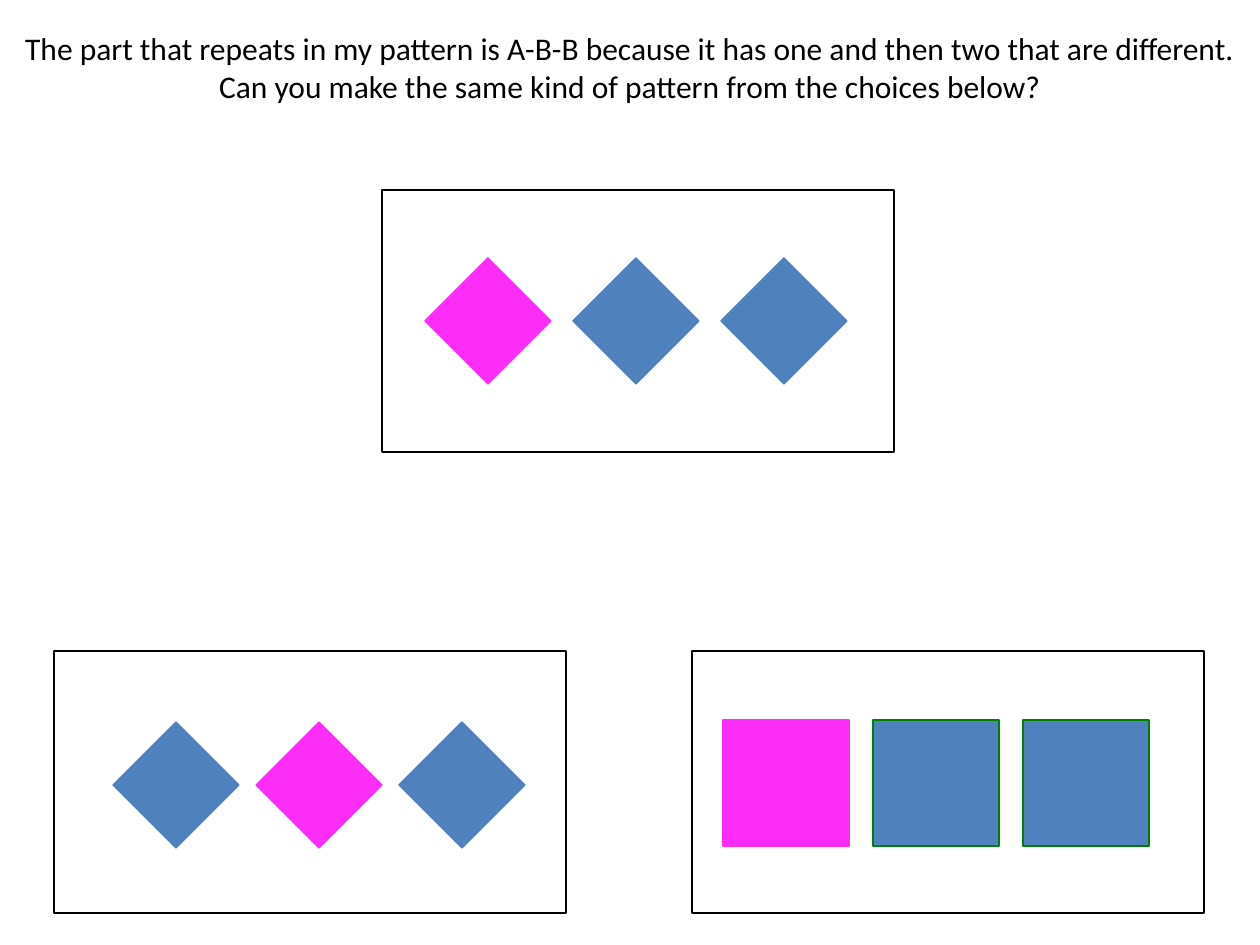
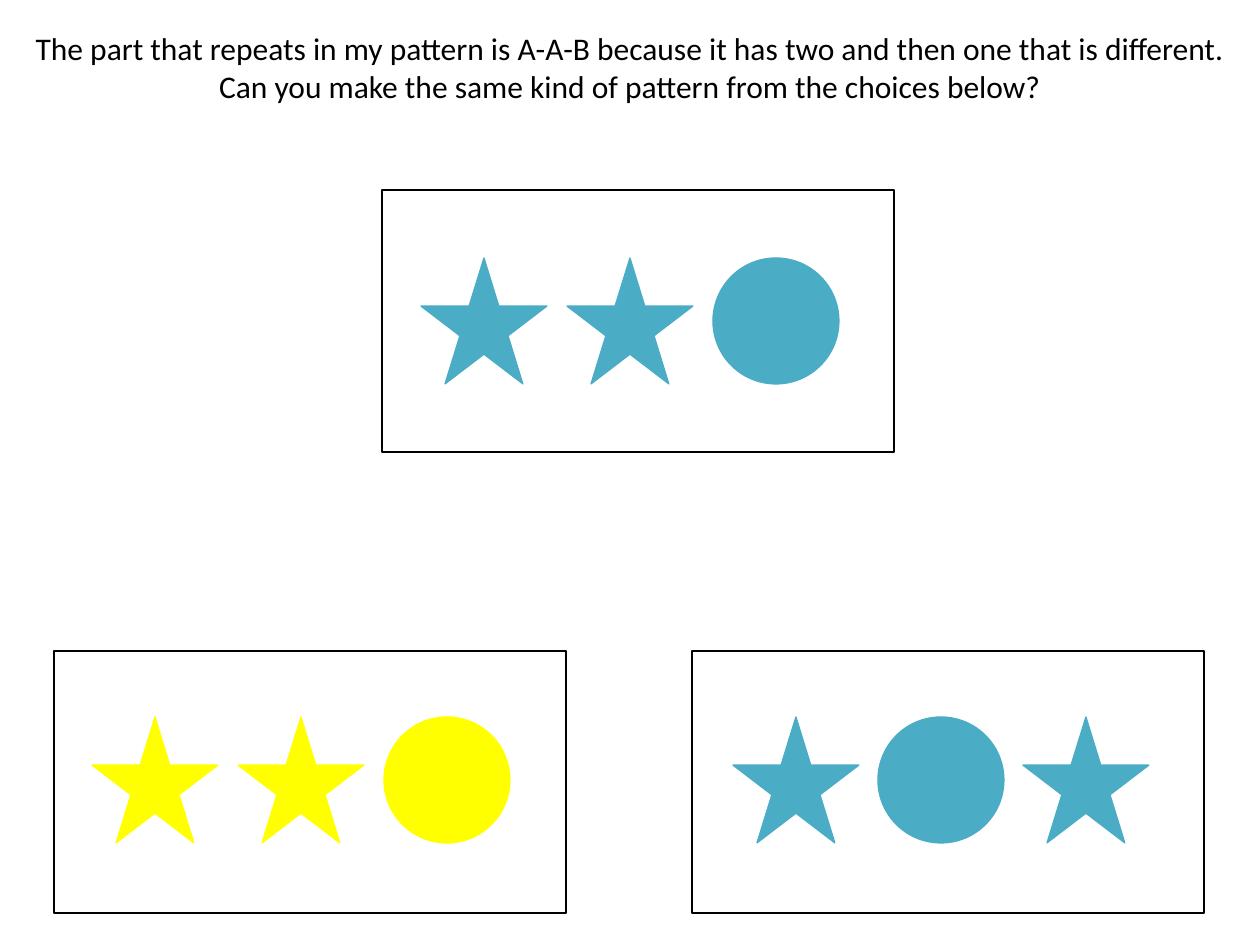
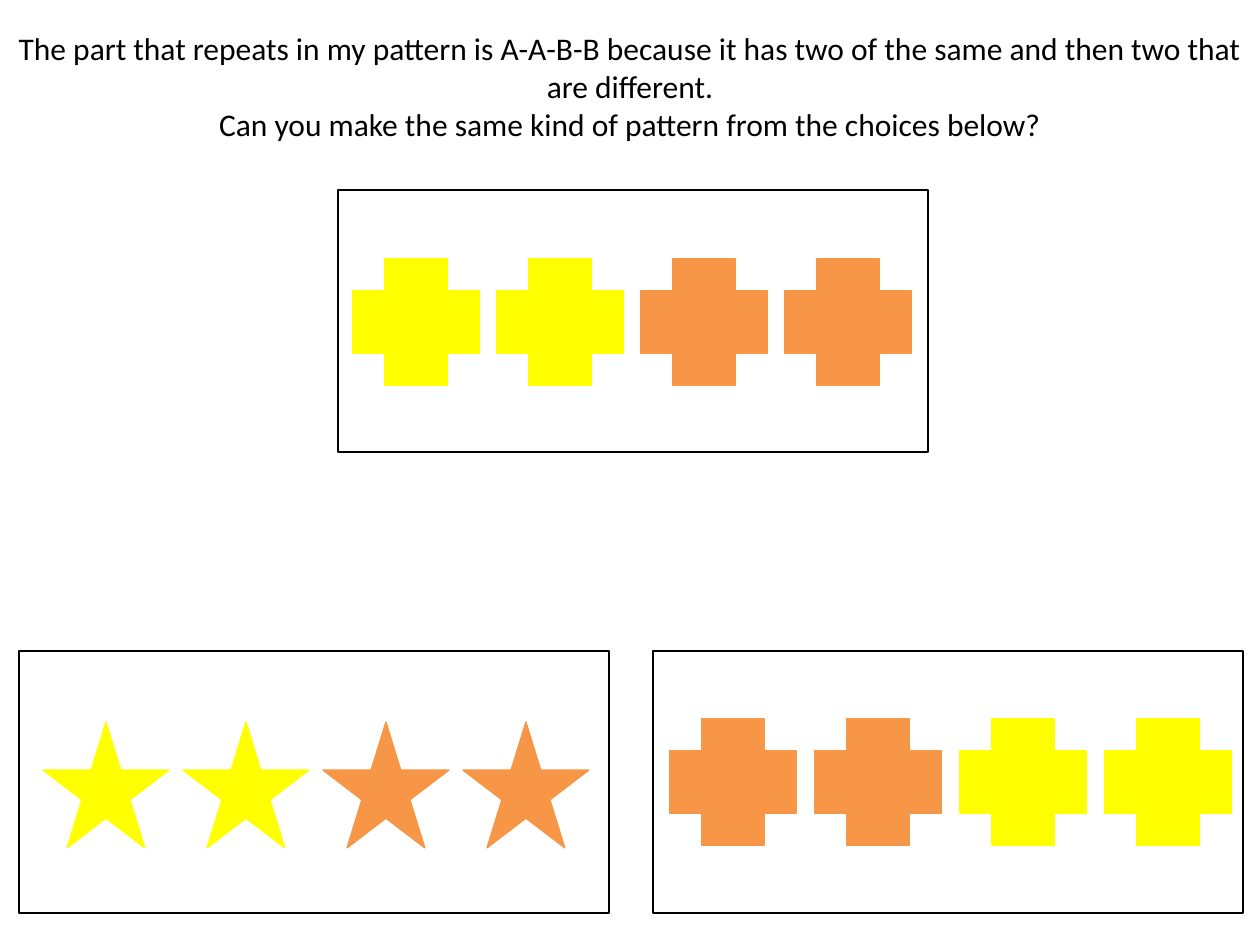
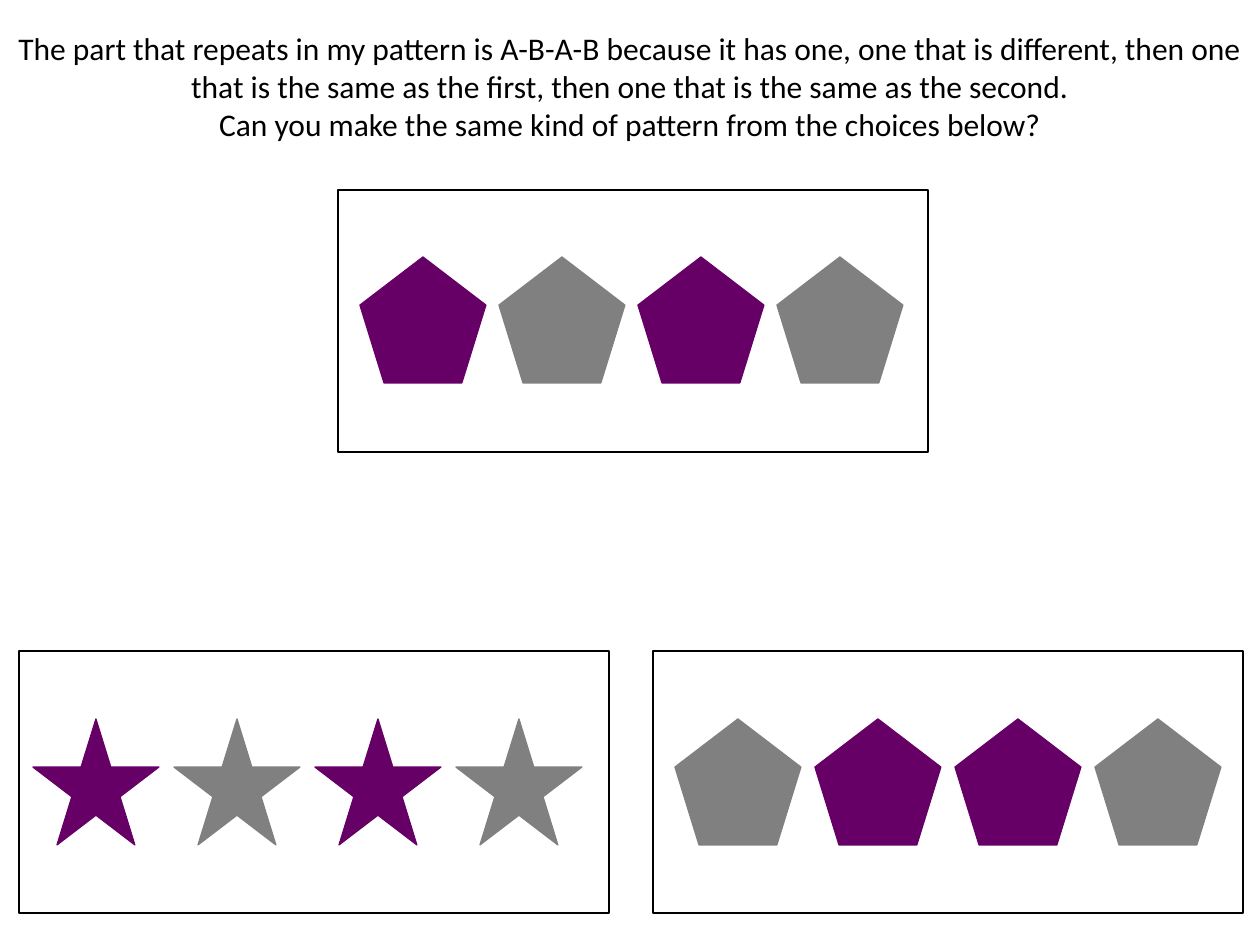
import pptx
import pptx.util
from pptx.dml.color import RGBColor
from pptx.enum.shapes import MSO_SHAPE
from pptx.enum.text import MSO_ANCHOR, MSO_AUTO_SIZE, PP_ALIGN

PX = 914400 / 126
SLIDE_W, SLIDE_H = 1260, 945
FONT = "Calibri"

BLACK = RGBColor(0x00, 0x00, 0x00)
BLUE = RGBColor(0x4F, 0x81, 0xBD)
PINK = RGBColor(0xFC, 0x2C, 0xF7)
GREEN = RGBColor(0x00, 0x80, 0x00)
TEAL = RGBColor(0x4B, 0xAC, 0xC6)
YELLOW = RGBColor(0xFF, 0xFF, 0x00)
ORANGE = RGBColor(0xF7, 0x96, 0x46)
PURPLE = RGBColor(0x66, 0x00, 0x66)
GRAY = RGBColor(0x80, 0x80, 0x80)

RECT = MSO_SHAPE.RECTANGLE
DIAMOND = MSO_SHAPE.DIAMOND
STAR = MSO_SHAPE.STAR_5_POINT
CIRCLE = MSO_SHAPE.OVAL
PLUS = MSO_SHAPE.CROSS
PENTAGON = MSO_SHAPE.REGULAR_PENTAGON

TILE = 126
FRAME_H = 262
FRAME_TOPS = (190, 651, 651)
# Frame width and the lefts of the example, left choice and right choice,
# by the number of tiles in the pattern.
FRAMES = {3: (512, (382, 54, 692)), 4: (590, (338, 19, 653))}

QUESTION = "Can you make the same kind of pattern from the choices below?"


def px(n):
    return pptx.util.Emu(round(n * PX))


def add_shape(slide, kind, x, y, w, h, fill=None, line=BLACK):
    sp = slide.shapes.add_shape(kind, px(x), px(y), px(w), px(h))
    sp.shadow.inherit = False
    if fill is None:
        sp.fill.background()
    else:
        sp.fill.solid()
        sp.fill.fore_color.rgb = fill
    sp.line.color.rgb = line
    sp.line.width = pptx.util.Pt(0.75)


def write_text(p, text, size=18, color=BLACK, align=PP_ALIGN.CENTER):
    p.alignment = align
    r = p.add_run()
    r.text = text
    r.font.name = FONT
    r.font.size = pptx.util.Pt(size)
    r.font.color.rgb = color


def add_title(slide, explanation, height):
    sp = slide.shapes.title
    sp.left, sp.top, sp.width, sp.height = px(0), px(23), px(SLIDE_W), px(height)
    tf = sp.text_frame
    tf.word_wrap = True
    tf.vertical_anchor = MSO_ANCHOR.TOP
    tf.auto_size = MSO_AUTO_SIZE.SHAPE_TO_FIT_TEXT
    write_text(tf.paragraphs[0], explanation)
    write_text(tf.add_paragraph(), QUESTION)


def add_row(slide, left, top, pitch, tiles):
    """Place tiles, each (kind, fill) or (kind, fill, line), at an even pitch."""
    for i, (kind, fill, *line) in enumerate(tiles):
        add_shape(slide, kind, left + i * pitch, top, TILE, TILE,
                  fill, line[0] if line else fill)


def add_pattern_slide(prs, explanation, title_height, rows):
    slide = prs.slides.add_slide(prs.slide_layouts[5])
    add_title(slide, explanation, title_height)
    width, lefts = FRAMES[len(rows[0][-1])]
    for left, top in zip(lefts, FRAME_TOPS):
        add_shape(slide, RECT, left, top, width, FRAME_H)
    for row in rows:
        add_row(slide, *row)


def tiles(kind, *colors):
    return [(kind, color) for color in colors]


def main():
    prs = pptx.Presentation()
    prs.slide_width, prs.slide_height = px(SLIDE_W), px(SLIDE_H)

    add_pattern_slide(
        prs, "The part that repeats in my pattern is A-B-B because it has "
        "one and then two that are different.", 89,
        [(425, 258, 148, tiles(DIAMOND, PINK, BLUE, BLUE)),
         (113, 722, 143, tiles(DIAMOND, BLUE, PINK, BLUE)),
         (723, 720, 150, [(RECT, PINK)] + [(RECT, BLUE, GREEN)] * 2)])

    add_pattern_slide(
        prs, "The part that repeats in my pattern is A-A-B because it has "
        "two and then one that is different.", 89,
        [(421, 258, 146, [(STAR, TEAL), (STAR, TEAL), (CIRCLE, TEAL)]),
         (92, 717, 146, [(STAR, YELLOW), (STAR, YELLOW), (CIRCLE, YELLOW)]),
         (733, 717, 145, [(STAR, TEAL), (CIRCLE, TEAL), (STAR, TEAL)])])

    add_pattern_slide(
        prs, "The part that repeats in my pattern is A-A-B-B because it has "
        "two of the same and then two that are different.", 127,
        [(353, 259, 144, tiles(PLUS, YELLOW, YELLOW, ORANGE, ORANGE)),
         (43, 722, 140, tiles(STAR, YELLOW, YELLOW, ORANGE, ORANGE)),
         (670, 719, 145, tiles(PLUS, ORANGE, ORANGE, YELLOW, YELLOW))])

    add_pattern_slide(
        prs, "The part that repeats in my pattern is A-B-A-B because it has "
        "one, one that is different, then one that is the same as the first, "
        "then one that is the same as the second.", 127,
        [(360, 257, 139, tiles(PENTAGON, PURPLE, GRAY, PURPLE, GRAY)),
         (33, 719, 141, tiles(STAR, PURPLE, GRAY, PURPLE, GRAY)),
         (675, 719, 140, tiles(PENTAGON, GRAY, PURPLE, PURPLE, GRAY))])

    prs.save("out.pptx")


if __name__ == "__main__":
    main()
